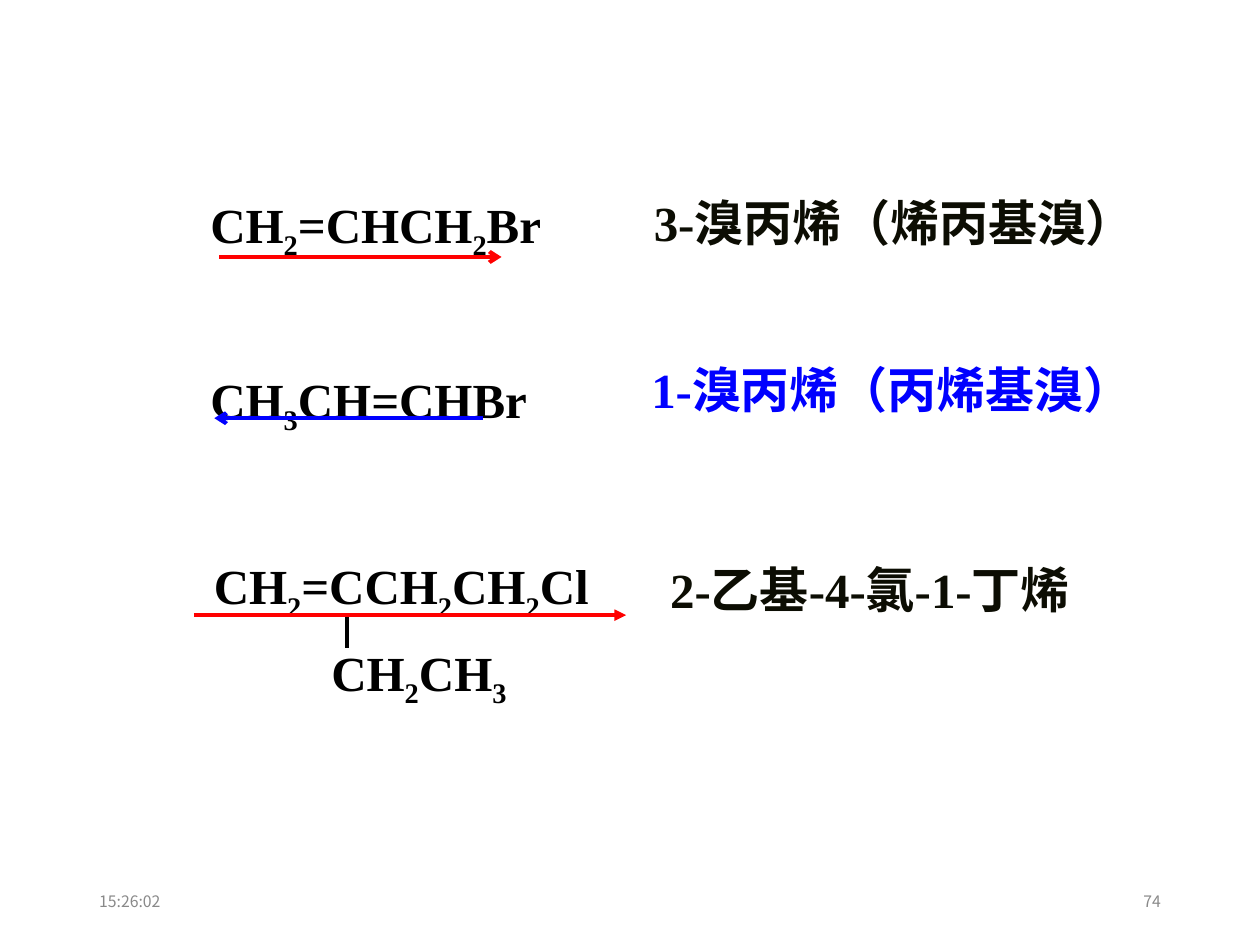
from itertools import groupby

from lxml.etree import SubElement
from pptx import Presentation
from pptx.dml.color import RGBColor
from pptx.enum.shapes import MSO_CONNECTOR
from pptx.enum.text import MSO_ANCHOR, PP_ALIGN
from pptx.oxml.ns import qn
from pptx.util import Cm, Pt

SERIF, SANS = "Times New Roman", "Noto Sans CJK SC"
BLACK, INK, BLUE, RED, GREY = "000000", "0C0D03", "0000FF", "FF0000", "898989"
LINE_HEIGHT = 1.27

# text, left, top, width in cm; digits become subscripts
FORMULAS = [
    ("CH2=CHCH2Br", 3.94, 3.89, 11),
    ("CH3CH=CHBr", 3.94, 7.42, 11),
    ("CH2=CCH2CH2Cl", 4.01, 11.18, 10.2),
    ("CH2CH3", 6.38, 12.93, 5.66),
]
# text, left, top, width, colour
NAMES = [
    ("3-溴丙烯（烯丙基溴）", 12.88, 3.96, 11.2, INK),
    ("1-溴丙烯（丙烯基溴）", 12.83, 7.32, 10.8, BLUE),
    ("2-乙基-4-氯-1-丁烯", 13.21, 11.35, 8.8, INK),
]
# start, end, colour, width in points, arrowhead
LINES = [
    ((6.99, 12.4), (6.99, 13.06), BLACK, 2, None),
    ((3.91, 12.4), (12.62, 12.4), RED, 2.25, "triangle"),
    ((9.73, 8.43), (4.32, 8.43), BLUE, 2.25, "arrow"),
    ((4.42, 5.18), (10.11, 5.18), RED, 2.25, "arrow"),
]
# text, left, alignment
FOOTERS = [("15:26:02", 1.75, PP_ALIGN.LEFT), ("74", 17.93, PP_ALIGN.RIGHT)]


def rgb(colour):
    return RGBColor.from_string(colour)


def add_box(page, left, top, width, height, inset_x, inset_y):
    """Add a wrapping text box; return its frame and first paragraph."""
    box = page.shapes.add_textbox(Cm(left), Cm(top), Cm(width), Cm(height))
    frame = box.text_frame
    frame.word_wrap = True
    frame.margin_left = frame.margin_right = Cm(inset_x)
    frame.margin_top = frame.margin_bottom = Cm(inset_y)
    return frame, frame.paragraphs[0]


def add_span(para, text, size, colour, font=SERIF, bold=True, subscript=False):
    span = para.add_run()
    span.text = text
    span.font.size = Pt(size)
    span.font.bold = bold
    span.font.name = font
    span.font.color.rgb = rgb(colour)
    properties = span.font._element
    SubElement(properties, qn("a:ea")).set("typeface", SANS)
    if subscript:
        properties.set("baseline", "-25000")


def add_line(page, start, end, colour, width, head):
    line = page.shapes.add_connector(
        MSO_CONNECTOR.STRAIGHT, *(Cm(value) for value in start + end))
    line.line.color.rgb = rgb(colour)
    line.line.width = Pt(width)
    if head:
        SubElement(line.line._get_or_add_ln(), qn("a:tailEnd")).set("type", head)
    SubElement(line._element.spPr, qn("a:effectLst"))


def main():
    deck = Presentation()
    deck.slide_width, deck.slide_height = Cm(25.4), Cm(19.05)
    page = deck.slides.add_slide(deck.slide_layouts[6])

    for formula, left, top, width in FORMULAS:
        _, para = add_box(page, left, top, width, LINE_HEIGHT, 0.3, 0.15)
        para.line_spacing = 0.8
        for is_digit, symbols in groupby(formula, str.isdigit):
            add_span(para, "".join(symbols), 28, BLACK, subscript=is_digit)

    for name, left, top, width, colour in NAMES:
        _, para = add_box(page, left, top, width, LINE_HEIGHT, 0.3, 0.15)
        para.line_spacing = 0.8
        add_span(para, name, 28, colour)

    for line in LINES:
        add_line(page, *line)

    for text, left, alignment in FOOTERS:
        frame, para = add_box(page, left, 17.65, 5.72, 1.02, 0.25, 0.13)
        frame.vertical_anchor = MSO_ANCHOR.MIDDLE
        para.alignment = alignment
        add_span(para, text, 9, GREY, font=SANS, bold=False)

    deck.save("out.pptx")


if __name__ == "__main__":
    main()
